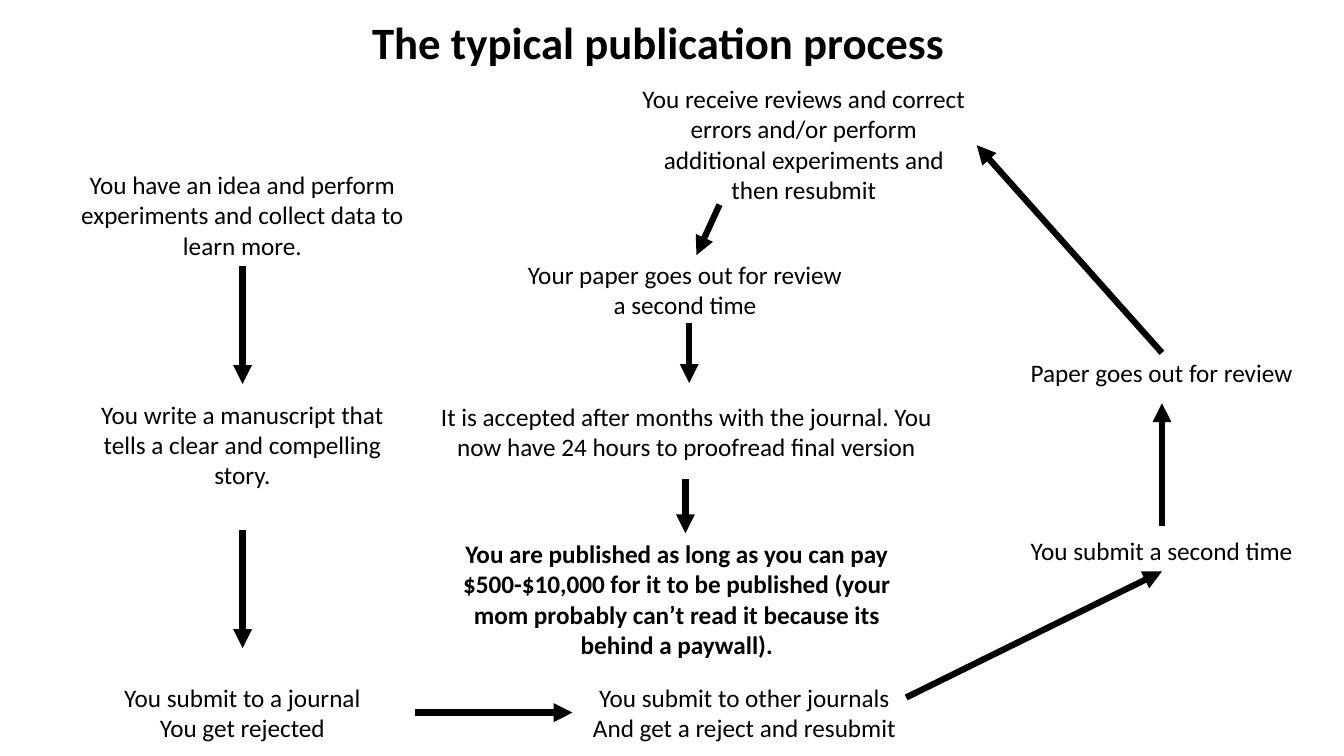
from dataclasses import dataclass

from lxml.etree import SubElement
from pptx import Presentation
from pptx.dml.color import RGBColor
from pptx.enum.shapes import MSO_CONNECTOR
from pptx.enum.text import MSO_AUTO_SIZE, PP_ALIGN
from pptx.oxml.ns import qn
from pptx.util import Pt

BLACK = "000000"
FONT = "Calibri"
STEP_WIDTH = 245.5
LINE_HEIGHT = 21.8  # one line of 18 pt text
INSETS = 7.2  # top and bottom inset together


@dataclass(frozen=True)
class Step:
    text: str
    left: float
    top: float
    lines: int
    width: float = STEP_WIDTH
    size: float = 18
    bold: bool = False


@dataclass(frozen=True)
class Arrow:
    start_x: float
    start_y: float
    end_x: float
    end_y: float


# Column positions
LEFT_COLUMN, RIGHT_COLUMN = 50.4, 707
LEFT_AXIS, RIGHT_AXIS = 173.3, 830

TITLE = Step("The typical publication process", 23.8, 7.2, 1, 892.8, 32, True)

STEPS = [
    # First submission
    Step("You have an idea and perform experiments and collect data to learn more.",
         LEFT_COLUMN, 117.4, 3),
    Step("You write a manuscript that tells a clear and compelling story.",
         LEFT_COLUMN, 281.5, 3),
    Step("You submit to a journal\nYou get rejected", LEFT_COLUMN, 483.8, 2),
    # Resubmission
    Step("You submit to other journals\nAnd get a reject and resubmit", 409, 483.8, 2),
    Step("You submit a second time", RIGHT_COLUMN, 379, 1),
    Step("Paper goes out for review", RIGHT_COLUMN, 252, 1),
    # Review and acceptance
    Step("You receive reviews and correct errors and/or perform additional "
         "experiments and then resubmit", 451.4, 56, 4),
    Step("Your paper goes out for review a second time", 366.5, 181.4, 2),
    Step("It is accepted after months with the journal. You now have 24 hours "
         "to proofread final version", 306.7, 283, 2, width=367.2),
    Step("You are published as long as you can pay $500-$10,000 for it to be "
         "published (your mom probably can’t read it because its behind a paywall).",
         312.5, 381, 4, width=342, bold=True),
]

ARROWS = [
    Arrow(LEFT_AXIS, 190, LEFT_AXIS, 274.3),
    Arrow(LEFT_AXIS, 378.7, LEFT_AXIS, 463),
    Arrow(296.6, 509, 409, 509),
    Arrow(647.3, 498.2, RIGHT_AXIS, 408.2),
    Arrow(RIGHT_AXIS, 375.8, RIGHT_AXIS, 288),
    Arrow(RIGHT_AXIS, 252, 697.7, 103.7),
    Arrow(514, 146.2, 497.5, 182.2),
    Arrow(492.3, 230.4, 492.3, 273.6),
    Arrow(489.6, 342, 489.6, 380.9),
]


def color(hex_value: str) -> RGBColor:
    return RGBColor.from_string(hex_value)


def draw_step(slide, step: Step) -> None:
    height = step.lines * LINE_HEIGHT * step.size / 18 + INSETS
    box = slide.shapes.add_textbox(Pt(step.left), Pt(step.top), Pt(step.width), Pt(height))
    text_frame = box.text_frame
    text_frame.word_wrap = True
    text_frame.auto_size = MSO_AUTO_SIZE.SHAPE_TO_FIT_TEXT
    text_frame.text = step.text
    for paragraph in text_frame.paragraphs:
        paragraph.alignment = PP_ALIGN.CENTER
        for run in paragraph.runs:
            run.font.name = FONT
            run.font.size = Pt(step.size)
            run.font.bold = step.bold
            run.font.color.rgb = color(BLACK)


def draw_arrow(slide, arrow: Arrow) -> None:
    connector = slide.shapes.add_connector(
        MSO_CONNECTOR.STRAIGHT, Pt(arrow.start_x), Pt(arrow.start_y),
        Pt(arrow.end_x), Pt(arrow.end_y))
    connector.line.color.rgb = color(BLACK)
    connector.line.width = Pt(4.5)
    # Arrowhead, and no shadow
    SubElement(connector.line._get_or_add_ln(), qn("a:tailEnd"), type="triangle")
    SubElement(connector._element.spPr, qn("a:effectLst"))


def main() -> None:
    presentation = Presentation()
    presentation.slide_width = Pt(960)
    presentation.slide_height = Pt(540)
    slide = presentation.slides.add_slide(presentation.slide_layouts[6])

    for step in [TITLE, *STEPS]:
        draw_step(slide, step)
    for arrow in ARROWS:
        draw_arrow(slide, arrow)

    presentation.save("out.pptx")


if __name__ == "__main__":
    main()
